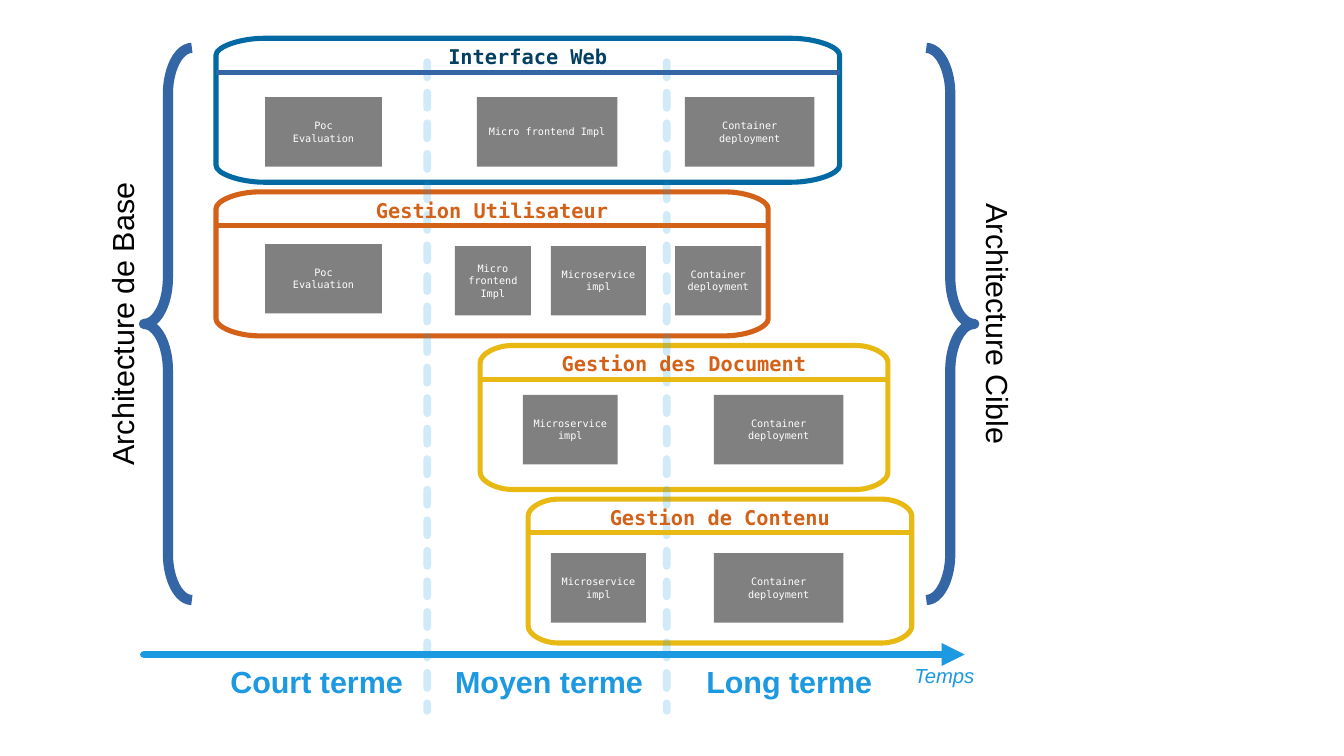
import pptx
import pptx.dml.color
import pptx.enum.dml
import pptx.enum.shapes
import pptx.enum.text
import pptx.oxml
import pptx.oxml.ns
import pptx.util

Pt = pptx.util.Pt
RGBColor = pptx.dml.color.RGBColor
MSO_SHAPE = pptx.enum.shapes.MSO_SHAPE
PP_ALIGN = pptx.enum.text.PP_ALIGN
MSO_ANCHOR = pptx.enum.text.MSO_ANCHOR
DRAWING_NS = pptx.oxml.ns.nsdecls("a")

WHITE = RGBColor(0xFF, 0xFF, 0xFF)
BLACK = RGBColor(0, 0, 0)
GREY = RGBColor(0x80, 0x80, 0x80)
NAVY = RGBColor(0x02, 0x3F, 0x62)
WEB_BLUE = RGBColor(0x03, 0x69, 0xA3)
BRACE_BLUE = RGBColor(0x34, 0x65, 0xA4)
TIME_BLUE = RGBColor(0x1C, 0x99, 0xE0)
ORANGE = RGBColor(0xD3, 0x61, 0x18)
YELLOW = RGBColor(0xE9, 0xB9, 0x13)
SANS, MONO = "Arial", "DejaVu Sans Mono"

PANEL_TOP, PANEL_PITCH, PANEL_HEIGHT = 22.6, 90.7, 85
RULE_DROP = 20
TASK_HEIGHT = 41
POC = "Poc\nEvaluation"
FRONTEND = "Micro frontend Impl"
SERVICE = "Microservice impl"
CONTAINER = "Container deployment"

# heading, left, width, outline, rule, heading colour,
# tasks (label, left and top within the panel, width)
PANELS = [
    ("Interface Web", 127.5, 368.2, WEB_BLUE, BRACE_BLUE, NAVY,
     [(POC, 29, 34.8, 69), (FRONTEND, 154, 34.8, 83), (CONTAINER, 276.8, 34.8, 76.5)]),
    ("Gestion Utilisateur", 127.5, 326, ORANGE, ORANGE, ORANGE,
     [(POC, 29, 30.8, 69), (FRONTEND, 141, 32, 45),
      (SERVICE, 197.8, 32, 56), (CONTAINER, 271, 32, 51)]),
    ("Gestion des Document", 283.5, 240.7, YELLOW, YELLOW, ORANGE,
     [(SERVICE, 25.2, 29.2, 56), (CONTAINER, 137.9, 29.2, 76.5)]),
    ("Gestion de Contenu", 311.8, 226.5, YELLOW, YELLOW, ORANGE,
     [(SERVICE, 13.5, 32, 56), (CONTAINER, 109.6, 32, 76.5)]),
]


def write(frame, text, font=SANS, size=12, color=BLACK, bold=False, italic=False,
          align=PP_ALIGN.CENTER, anchor=MSO_ANCHOR.TOP, side_margin=7.2):
    frame.word_wrap = True
    frame.vertical_anchor = anchor
    frame.margin_left = frame.margin_right = Pt(side_margin)
    paragraph = frame.paragraphs[0]
    paragraph.text = text
    paragraph.alignment = align
    for run in paragraph.runs:
        run.font.name = font
        run.font.size = Pt(size)
        run.font.color.rgb = color
        run.font.bold = bold
        run.font.italic = italic


def add_label(slide, text, left, top, width, height, rotation=0, **text_format):
    label = slide.shapes.add_textbox(Pt(left), Pt(top), Pt(width), Pt(height))
    label.rotation = rotation
    write(label.text_frame, text, **text_format)


def add_line(slide, x1, y1, x2, y2, color, width):
    line = slide.shapes.add_connector(
        pptx.enum.shapes.MSO_CONNECTOR.STRAIGHT, Pt(x1), Pt(y1), Pt(x2), Pt(y2))
    line.line.color.rgb = color
    line.line.width = Pt(width)
    line._element.spPr.append(pptx.oxml.parse_xml(f"<a:effectLst {DRAWING_NS}/>"))
    return line


def add_outline(slide, left, top, width, height, color):
    """Draw a panel whose soft corners widen with the panel."""
    right, bottom = left + width, top + height
    rx, ry = 0.078 * width, 10
    # start and end of each corner curve, clockwise from the top right
    corners = [((right - rx, top), (right, top + ry)),
               ((right, bottom - ry), (right - rx, bottom)),
               ((left + rx, bottom), (left, bottom - ry)),
               ((left, top + ry), (left + rx, top))]
    points = [(Pt(x), Pt(y)) for corner in corners for x, y in corner]
    builder = slide.shapes.build_freeform(*points[0])
    builder.add_line_segments(points[1:], close=True)
    panel = builder.convert_to_shape()
    round_corners(panel, [(Pt(right), Pt(top)), (Pt(right), Pt(bottom)),
                          (Pt(left), Pt(bottom)), (Pt(left), Pt(top))])
    panel.shadow.inherit = False
    panel.fill.solid()
    panel.fill.fore_color.rgb = WHITE
    panel.line.color.rgb = color
    panel.line.width = Pt(3)


def round_corners(panel, corner_points):
    """Turn the cut corners of a panel into curves."""
    tag = pptx.oxml.ns.qn
    outline = panel._element.spPr.find(".//" + tag("a:path"))
    ends = list(outline.iter(tag("a:pt")))
    for corner, (x, y) in enumerate(corner_points):
        x, y = x - panel.left, y - panel.top
        start, end = [(int(p.get("x")), int(p.get("y")))
                      for p in ends[2 * corner:2 * corner + 2]]
        controls = [((px + x) // 2, (py + y) // 2) for px, py in (start, end)]
        curve = "".join(f'<a:pt x="{px}" y="{py}"/>' for px, py in controls + [end])
        outline.replace(ends[2 * corner + 1].getparent(), pptx.oxml.parse_xml(
            f"<a:cubicBezTo {DRAWING_NS}>{curve}</a:cubicBezTo>"))


def add_task(slide, text, left, top, width):
    task = slide.shapes.add_shape(
        MSO_SHAPE.RECTANGLE, Pt(left), Pt(top), Pt(width), Pt(TASK_HEIGHT))
    task.shadow.inherit = False
    task.fill.solid()
    task.fill.fore_color.rgb = GREY
    task.line.fill.background()
    write(task.text_frame, text, font=MONO, size=6, color=WHITE,
          anchor=MSO_ANCHOR.MIDDLE, side_margin=5)


def fill_panel(slide, left, top, width, heading, rule_color, heading_color, tasks):
    rule = top + RULE_DROP
    add_line(slide, left, rule, left + width, rule, rule_color, 3)
    for text, x, y, task_width in tasks:
        add_task(slide, text, left + x, top + y, task_width)
    add_label(slide, heading, left, top, width, 21, font=MONO,
              color=heading_color, bold=True)


def add_timeline(slide, left, top, width):
    """Draw the time arrow, its three terms and the limits between them."""
    arrow = add_line(slide, left, top, left + width, top, TIME_BLUE, 4.5)
    stroke = arrow.line._get_or_add_ln()
    stroke.set("cap", "rnd")
    stroke.append(pptx.oxml.parse_xml(f'<a:tailEnd {DRAWING_NS} type="triangle"/>'))
    terms = [("Court terme", 36.8, 130.3), ("Moyen terme", 167.2, 144),
             ("Long terme", 308.6, 144.7)]
    for term, x, term_width in terms:
        add_label(slide, term, left + x, top + 1.5, term_width, 47.5, size=18,
                  color=TIME_BLUE, bold=True)
    add_label(slide, "Temps", left + 447.7, top + 1.5, 113, 21, color=TIME_BLUE,
              italic=True, align=PP_ALIGN.LEFT)
    for term, x, term_width in terms[1:]:
        limit = add_line(slide, left + x, 36.7, left + x, 419.8, TIME_BLUE, 4.5)
        limit.line.dash_style = pptx.enum.dml.MSO_LINE.SQUARE_DOT
        stroke = limit.line._get_or_add_ln()
        stroke.set("cap", "rnd")
        stroke.find(pptx.oxml.ns.qn("a:prstDash")).set("val", "sysDash")
        color = stroke.find(".//" + pptx.oxml.ns.qn("a:srgbClr"))
        color.append(pptx.oxml.parse_xml(f'<a:alpha {DRAWING_NS} val="20000"/>'))


def add_architecture(slide, text, preset, left, label_center, rotation):
    """Draw a full-height brace with its name turned alongside."""
    top, width, height = 28.3, 28.3, 326
    brace = slide.shapes.add_shape(preset, Pt(left), Pt(top), Pt(width), Pt(height))
    brace.adjustments[0] = 0.97
    brace.shadow.inherit = False
    brace.fill.background()
    brace.line.color.rgb = BRACE_BLUE
    brace.line.width = Pt(6)
    label_width, label_height = 269.3, 27.4
    add_label(slide, text, label_center - label_width / 2,
              top + height / 2 - label_height / 2, label_width, label_height,
              rotation=rotation, size=18)


def add_roadmap(slide):
    tops = [PANEL_TOP + PANEL_PITCH * row for row in range(len(PANELS))]
    for top, (heading, left, width, outline, *rest) in zip(tops, PANELS):
        add_outline(slide, left, top, width, PANEL_HEIGHT, outline)
    add_timeline(slide, 85, 386.5, 484.5)
    for top, (heading, left, width, outline, *rest) in zip(tops, PANELS):
        fill_panel(slide, left, top, width, heading, *rest)
    add_architecture(slide, "Architecture de Base", MSO_SHAPE.LEFT_BRACE, 85, 71.3, 270)
    add_architecture(slide, "Architecture Cible", MSO_SHAPE.RIGHT_BRACE, 546.9, 590, 90)


def main():
    presentation = pptx.Presentation()
    presentation.slide_width = Pt(793.44)
    presentation.slide_height = Pt(446.4)
    add_roadmap(presentation.slides.add_slide(presentation.slide_layouts[6]))
    presentation.save("out.pptx")


if __name__ == "__main__":
    main()
